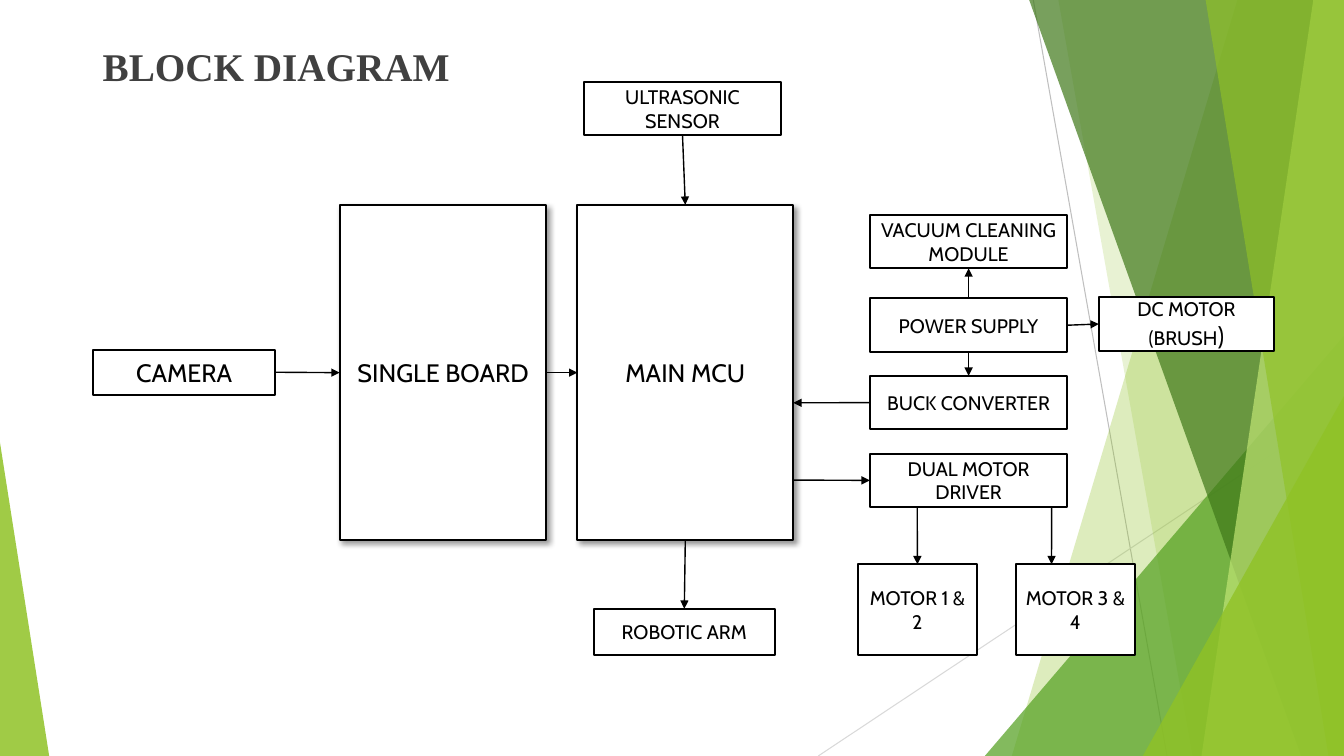
from lxml.etree import SubElement
from pptx import Presentation
from pptx.dml.color import RGBColor
from pptx.enum.shapes import MSO_CONNECTOR as CONN, MSO_SHAPE as SHAPE
from pptx.enum.text import MSO_ANCHOR as ANCHOR, PP_ALIGN as ALIGN
from pptx.oxml.ns import qn
from pptx.util import Cm, Pt

W, H = 33.87, 19.05
TITLE = ("BLOCK DIAGRAM", 2.34, 0.94, 29.21, 1.5)
TITLE_FONT = {"size": Pt(28), "name": "Times New Roman", "bold": True}

RAYS = [((26.04, 0), (29.41, H), "BFBFBF"), ((W, 10.24), (20.62, H), "D9D9D9")]
# kind, geometry, colour, opacity
BACKDROP = [
    ("ribbon", (31.19, 25.5), "90C226", 30),
    ("ribbon", (26.67, 30.05), "90C226", 20),
    ("triangle", (24.82, 8.46, 9.05, 1), "54A021", 72),
    ("ribbon", (25.93, 32.79), "3F7819", 70),
    ("ribbon", (33.1, 30.28), "C0E474", 70),
    ("ribbon", (30.38, 33.48), "90C226", 65),
    ("triangle", (28.8, 9.98, 5.07, 1), "90C226", 80),
    ("triangle", (0, 11.15, 1.24, 0), "90C226", 85),
]

SMALL, MOTOR = (4.98, 1.35), (3, 2.29)
BOXES = {
    "computer": ([("SINGLE BOARD", 18)], (8.56, 5.16), (5.21, 8.46)),
    "mcu": ([("MAIN MCU", 18)], (14.55, 5.16), (5.44, 8.46)),
    "camera": ([("CAMERA", 18)], (2.34, 8.81), (4.6, 1.14)),
    "vacuum": ([("VACUUM CLEANING MODULE", 14)], (21.92, 5.41), SMALL),
    "supply": ([("POWER SUPPLY", 14)], (21.92, 7.52), SMALL),
    "buck": ([("BUCK CONVERTER", 14)], (21.92, 9.47), SMALL),
    "driver": ([("DUAL MOTOR DRIVER", 14)], (21.92, 11.43), SMALL),
    "sensor": ([("ULTRASONIC SENSOR", 14)], (14.71, 2.06), SMALL),
    "motor12": ([("MOTOR 1 & 2", 14)], (21.62, 14.22), MOTOR),
    "motor34": ([("MOTOR 3 & 4", 14)], (25.6, 14.22), MOTOR),
    "arm": ([("ROBOTIC ARM", 14)], (14.96, 15.34), (4.57, 1.17)),
    "brush": ([("DC MOTOR (BRUSH", 14), (")", 18)], (27.69, 7.49), (4.42, 1.35)),
}
SHADOWED = ("computer", "mcu")
LEFT, RIGHT, TOP, BOTTOM = (0, 0.5), (1, 0.5), (0.5, 0), (0.5, 1)
ARROWS = [
    ("camera", RIGHT, "computer", LEFT),
    ("computer", RIGHT, "mcu", LEFT),
    ("sensor", BOTTOM, "mcu", TOP),
    ("mcu", BOTTOM, "arm", TOP),
    ("buck", LEFT, "mcu", (1, 0.59)),
    ("mcu", (1, 0.82), "driver", LEFT),
    ("driver", (0.24, 1), "motor12", TOP),
    ("driver", (0.92, 1), "motor34", (0.3, 0)),
    ("supply", TOP, "vacuum", BOTTOM),
    ("supply", BOTTOM, "buck", TOP),
    ("supply", RIGHT, "brush", LEFT),
]


def rgb(value):
    return RGBColor.from_string(value)


def add_run(p, text, color, fmt):
    r = p.add_run()
    r.text = text
    r.font.color.rgb = rgb(color)
    for key, value in fmt.items():
        setattr(r.font, key, value)


def fill(sp, color, opacity=100):
    sp.shadow.inherit = False
    sp.fill.solid()
    sp.fill.fore_color.rgb = rgb(color)
    if opacity < 100:
        clr = sp.fill._xPr.find(qn("a:solidFill"))[0]
        SubElement(clr, qn("a:alpha"), val=str(opacity * 1000))


def add_backdrop(s, kind, geometry, color, opacity):
    if kind == "ribbon":
        top, bottom = geometry
        ff = s.shapes.build_freeform(Cm(top), Cm(-0.02))
        ff.add_line_segments([(Cm(x), Cm(y)) for x, y in
                              ((W, -0.02), (W, H), (bottom, H))], close=True)
        sp = ff.convert_to_shape()
    else:
        x, y, w, apex = geometry
        sp = s.shapes.add_shape(SHAPE.ISOSCELES_TRIANGLE, Cm(x), Cm(y), Cm(w), Cm(H - y))
        sp.adjustments[0] = apex
    fill(sp, color, opacity)
    sp.line.fill.background()


def add_line(s, start, end, color, width, arrow=False):
    cx = s.shapes.add_connector(CONN.STRAIGHT, *map(Cm, (*start, *end)))
    cx.line.color.rgb = rgb(color)
    cx.line.width = Pt(width)
    if arrow:
        SubElement(cx.line._get_or_add_ln(), qn("a:tailEnd"), type="triangle")
    SubElement(cx._element.spPr, qn("a:effectLst"))


def add_box(s, runs, pos, size, shadow):
    sp = s.shapes.add_shape(SHAPE.RECTANGLE, *map(Cm, pos + size))
    fill(sp, "FFFFFF")
    sp.line.color.rgb = rgb("000000")
    sp.line.width = Pt(1.5)
    if shadow:
        effects = sp._element.spPr.find(qn("a:effectLst"))
        outer = SubElement(effects, qn("a:outerShdw"), blurRad=str(Pt(4)), dist=str(Pt(3)),
                           dir="2700000", algn="tl", rotWithShape="0")
        clr = SubElement(outer, qn("a:srgbClr"), val="000000")
        SubElement(clr, qn("a:alpha"), val="40000")
    tf = sp.text_frame
    tf.word_wrap = True
    tf.vertical_anchor = ANCHOR.MIDDLE
    p = tf.paragraphs[0]
    p.alignment = ALIGN.CENTER
    for text, pts in runs:
        add_run(p, text, "000000", {"size": Pt(pts), "name": "Cabin"})


def anchor(name, fraction):
    _, pos, size = BOXES[name]
    return [a + f * b for a, f, b in zip(pos, fraction, size)]


def main():
    """Build the block diagram slide."""
    prs = Presentation()
    prs.slide_width, prs.slide_height = Cm(W), Cm(H)
    s = prs.slides.add_slide(prs.slide_layouts[6])
    for start, end, color in RAYS:
        add_line(s, start, end, color, 0.75)
    for part in BACKDROP:
        add_backdrop(s, *part)
    text, *frame = TITLE
    tf = s.shapes.add_textbox(*map(Cm, frame)).text_frame
    tf.word_wrap = True
    add_run(tf.paragraphs[0], text, "404040", TITLE_FONT)
    for name, box in BOXES.items():
        add_box(s, *box, name in SHADOWED)
    for source, out, target, into in ARROWS:
        add_line(s, anchor(source, out), anchor(target, into), "000000", 1, True)
    prs.save("out.pptx")


if __name__ == "__main__":
    main()
